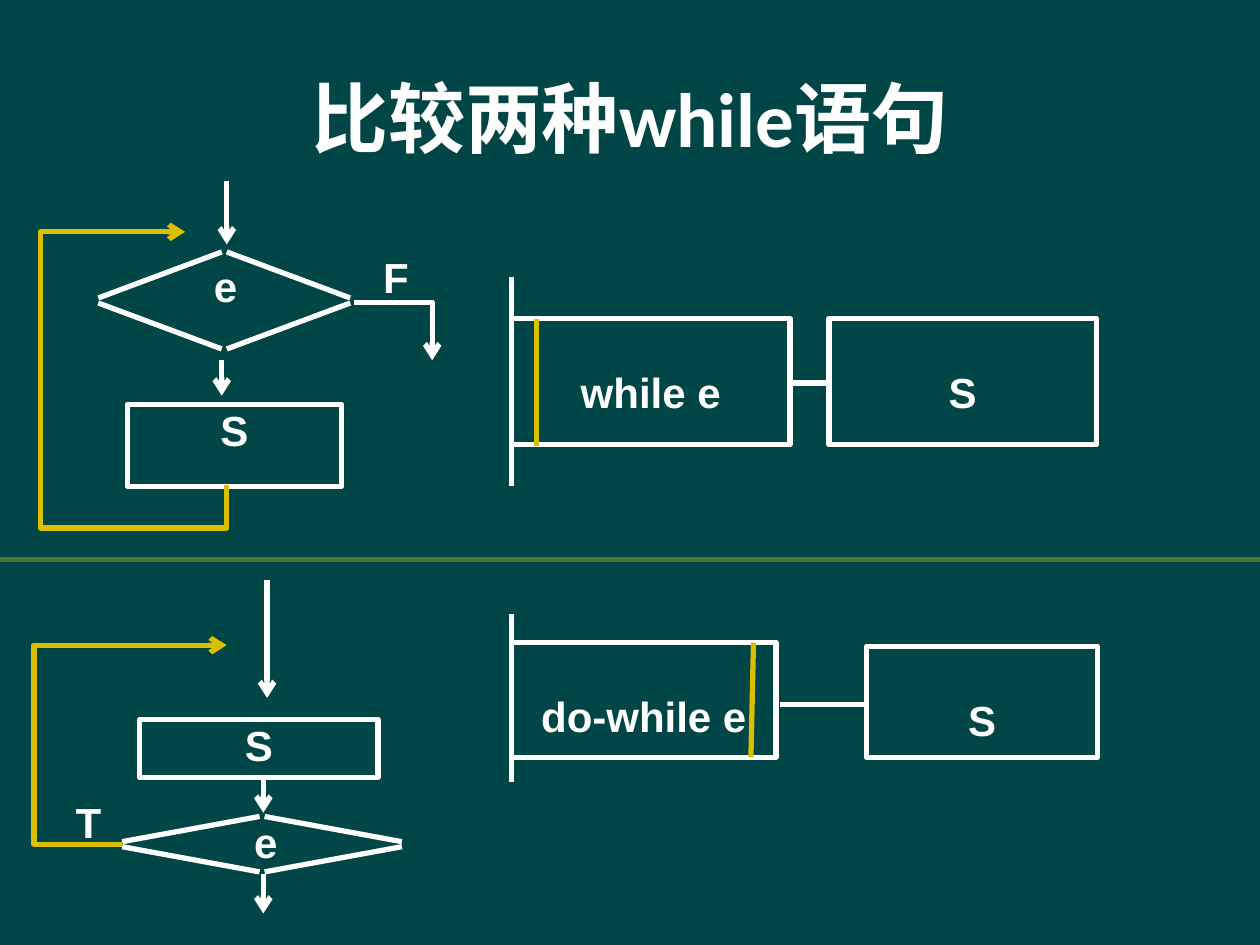
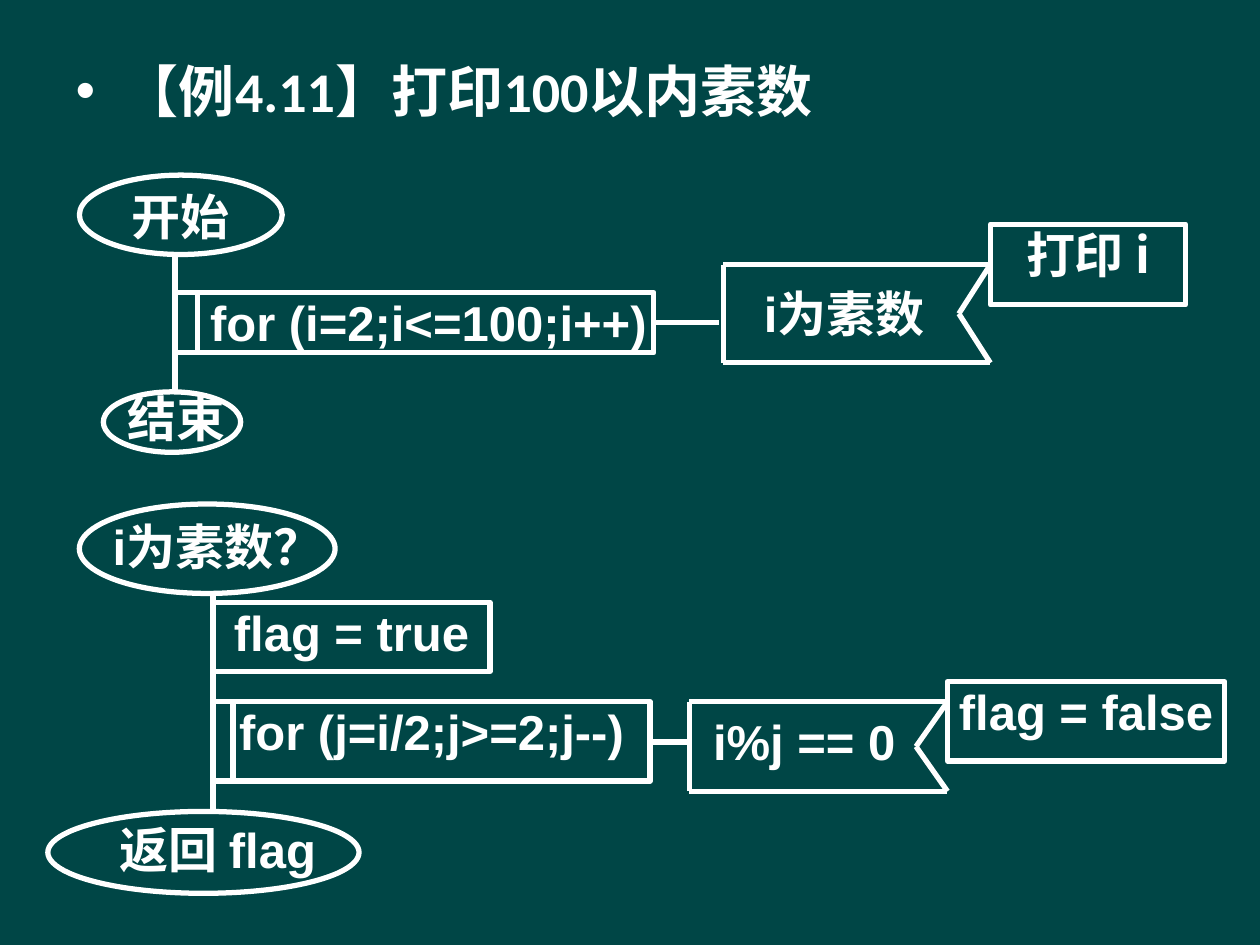
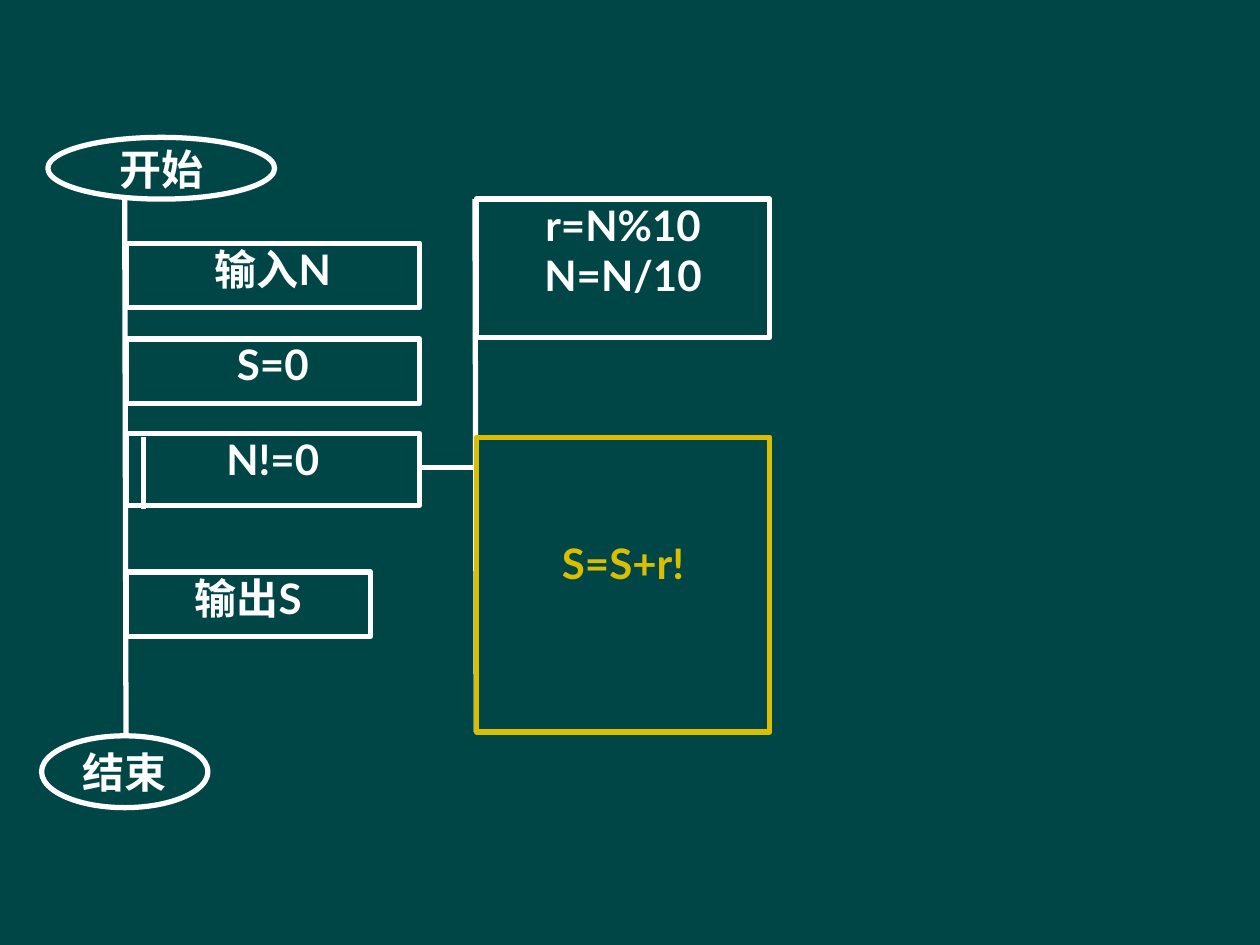
import dataclasses
import itertools

import lxml.etree
import pptx
import pptx.dml.color
import pptx.enum.shapes
import pptx.enum.text
import pptx.oxml.ns
import pptx.util

Inches = pptx.util.Inches
KIND = pptx.enum.shapes.MSO_SHAPE
ALIGN = pptx.enum.text.PP_ALIGN
ANCHOR = pptx.enum.text.MSO_ANCHOR


@dataclasses.dataclass(frozen=True)
class Theme:
    back: str = "004646"
    ink: str = "FFFFFF"
    gold: str = "D9BE02"
    rule: str = "50742F"
    head: str = "Calibri"
    sans: str = "Arial"
    flow: str = "Lato"
    asian: str = "Noto Sans CJK SC"
    title: int = 44
    item: int = 32
    large: int = 28
    small: int = 24
    stroke: int = 3


T = Theme()


def paint(code):
    return pptx.dml.color.RGBColor.from_string(code)


def add(parent, tag, **attrs):
    return lxml.etree.SubElement(parent, pptx.oxml.ns.qn(tag), **attrs)


def write(frame, text, size=T.small, font=T.sans, color=T.ink,
          align=None, pad=None, anchor=None, wrap=True):
    frame.word_wrap = wrap
    if anchor is not None:
        frame.vertical_anchor = anchor
    if pad is not None:
        (frame.margin_left, frame.margin_top,
         frame.margin_right, frame.margin_bottom) = map(Inches, pad)
    for num, words in enumerate(text.split("\n")):
        para = frame.add_paragraph() if num else frame.paragraphs[0]
        para.alignment = align
        para.space_before = pptx.util.Pt(0)
        run = para.add_run()
        run.text = words
        run.font.size = pptx.util.Pt(size)
        run.font.bold = True
        run.font.color.rgb = paint(color)
        run.font.name = font
        add(run._r.get_or_add_rPr(), "a:ea", typeface=T.asian)


def stroke(shape, color, arrow=False):
    shape.line.color.rgb = paint(color)
    shape.line.width = pptx.util.Pt(T.stroke)
    if arrow:
        edge = shape.element.spPr.find(pptx.oxml.ns.qn("a:ln"))
        add(edge, "a:tailEnd", type="arrow")


def line(slide, *ends, color=T.ink, arrow=False):
    kind = pptx.enum.shapes.MSO_CONNECTOR.STRAIGHT
    link = slide.shapes.add_connector(kind, *map(Inches, ends))
    stroke(link, color, arrow)
    add(link.element.spPr, "a:effectLst")


def route(slide, points, color=T.ink):
    spots = [tuple(map(Inches, point)) for point in points]
    pen = slide.shapes.build_freeform(*spots[0], scale=1.0)
    pen.add_line_segments(spots[1:], close=False)
    shape = pen.convert_to_shape()
    shape.shadow.inherit = False
    shape.fill.background()
    stroke(shape, color, arrow=True)


def box(slide, area, text="", kind=KIND.RECTANGLE, edge=T.ink,
        pad=(0, 0, 0, 0), anchor=ANCHOR.TOP, **style):
    shape = slide.shapes.add_shape(kind, *map(Inches, area))
    shape.shadow.inherit = False
    shape.fill.background()
    stroke(shape, edge)
    if text:
        write(shape.text_frame, text, align=ALIGN.CENTER, pad=pad,
              anchor=anchor, **style)


def label(slide, area, text, align=ALIGN.CENTER, pad=(0, 0, 0, 0), **style):
    shape = slide.shapes.add_textbox(*map(Inches, area))
    write(shape.text_frame, text, align=align, pad=pad,
          anchor=ANCHOR.TOP, **style)


def oval(slide, area, text="", **style):
    box(slide, area, text, kind=KIND.OVAL, pad=(0.1, 0.05, 0.1, 0.05),
        anchor=ANCHOR.MIDDLE, wrap=False, **style)


def test(slide, x, y, wide, high):
    gap = 0.02
    for side, way in itertools.product((-1, 1), repeat=2):
        line(slide, x + side * gap, y + way * high,
             x + side * wide, y + way * gap)


def flag(slide, left, top, right, low):
    mid = (top + low) / 2
    points = [(right, top), (left, top), (left, low), (right, low),
              (right - 0.25, mid), (right, top)]
    for start, end in itertools.pairwise(points):
        line(slide, *start, *end)


def compare(deck):
    slide = deck.slides.add_slide(deck.slide_layouts[5])
    write(slide.shapes.title.text_frame, "比较两种while语句",
          size=T.title, font=T.head, align=ALIGN.CENTER)

    test(slide, 1.78, 2.385, 1, 0.385)
    box(slide, (1.01, 3.21, 1.7, 0.65), "S")
    line(slide, 1.8, 1.44, 1.8, 1.94, arrow=True)
    line(slide, 1.76, 2.86, 1.76, 3.14, arrow=True)
    route(slide, [(1.8, 3.85), (1.8, 4.19), (0.32, 4.19),
                  (0.32, 1.84), (1.47, 1.84)], T.gold)
    route(slide, [(2.81, 2.4), (3.43, 2.4), (3.43, 2.86)])
    label(slide, (1.53, 2.07, 0.52, 0.45), "e")
    label(slide, (3.04, 2, 0.43, 0.43), "F", align=ALIGN.LEFT)

    test(slide, 2.08, 6.7, 1.11, 0.22)
    box(slide, (1.11, 5.71, 1.89, 0.46), "S")
    line(slide, 2.12, 4.6, 2.12, 5.54, arrow=True)
    line(slide, 2.09, 6.17, 2.09, 6.45, arrow=True)
    line(slide, 2.09, 6.94, 2.09, 7.25, arrow=True)
    label(slide, (1.8, 6.48, 0.62, 0.5), "e")
    label(slide, (0.6, 6.32, 0.47, 0.43), "T", align=ALIGN.JUSTIFY)
    route(slide, [(0.97, 6.7), (0.27, 6.7), (0.27, 5.12), (1.8, 5.12)],
          T.gold)

    drop = (0, 0.38, 0, 0)
    line(slide, 4.06, 2.2, 4.06, 3.86)
    box(slide, (4.06, 2.53, 2.21, 1), "while e", pad=drop)
    line(slide, 4.26, 2.53, 4.26, 3.54, color=T.gold)
    line(slide, 6.26, 3.04, 6.6, 3.04)
    box(slide, (6.58, 2.53, 2.12, 1), "S", pad=drop)

    line(slide, 4.06, 4.87, 4.06, 6.21)
    box(slide, (4.06, 5.1, 2.1, 0.91), "do-while e", pad=drop)
    line(slide, 5.98, 5.1, 5.96, 6.01, color=T.gold)
    line(slide, 6.19, 5.59, 6.88, 5.59)
    box(slide, (6.88, 5.13, 1.83, 0.88), "S", pad=drop)
    line(slide, 0, 4.44, 10, 4.44, color=T.rule)


def primes(deck):
    slide = deck.slides.add_slide(deck.slide_layouts[1])
    title = slide.shapes.title.element
    title.getparent().remove(title)
    body = slide.placeholders[1]
    body.left, body.top, body.width, body.height = map(
        Inches, (0.5, 0.4, 9, 6.3))
    write(body.text_frame, "【例4.11】打印100以内素数",
          size=T.item, font=T.head)

    big = {"size": T.large}
    line(slide, 1.39, 2.01, 1.39, 3.11)
    box(slide, (1.39, 2.32, 3.8, 0.48), "for (i=2;i<=100;i++)",
        pad=(0.22, 0, 0, 0), **big)
    label(slide, (0.72, 1.48, 1.42, 0.43), "开始", **big)
    oval(slide, (0.63, 1.39, 1.61, 0.63))
    label(slide, (0.43, 3.08, 1.94, 0.47), "结束", **big)
    oval(slide, (0.82, 3.11, 1.09, 0.48))
    line(slide, 1.57, 2.33, 1.57, 2.78)
    line(slide, 5.19, 2.56, 5.71, 2.56)
    box(slide, (7.86, 1.78, 1.55, 0.64), "打印 i", font=T.asian, **big)
    label(slide, (5.82, 2.25, 1.76, 0.45), "i为素数", **big)
    flag(slide, 5.74, 2.1, 7.86, 2.88)

    line(slide, 1.69, 4.71, 1.69, 6.44)
    label(slide, (0.35, 4.1, 2.75, 0.5), "i为素数？", **big)
    oval(slide, (0.63, 4, 2.03, 0.71))
    label(slide, (0.35, 6.5, 2.76, 0.51), "返回 flag", **big)
    oval(slide, (0.38, 6.44, 2.47, 0.65))
    box(slide, (7.52, 5.41, 2.2, 0.63), "flag = false", **big)
    box(slide, (1.69, 5.57, 3.47, 0.63), "for (j=i/2;j>=2;j--)", **big)
    line(slide, 1.85, 5.57, 1.85, 6.2)
    line(slide, 5.16, 5.89, 5.45, 5.89)
    box(slide, (1.69, 4.78, 2.2, 0.55), "flag = true", **big)
    label(slide, (5.55, 5.65, 1.7, 0.45), "i%j == 0",
          align=ALIGN.JUSTIFY, pad=(0.11, 0, 0, 0), **big)
    flag(slide, 5.47, 5.57, 7.52, 6.28)


def digits(deck):
    slide = deck.slides.add_slide(deck.slide_layouts[6])
    lato = {"font": T.flow}
    line(slide, 0.99, 1.58, 1, 5.84)
    oval(slide, (0.38, 1.09, 1.8, 0.49), "开始", **lato)
    oval(slide, (0.33, 5.84, 1.32, 0.57), "结束", **lato)
    steps = [(1.93, 2.33, 0.51, "输入N"), (2.69, 2.33, 0.51, "S=0"),
             (3.44, 2.33, 0.57, "N!=0"), (4.54, 1.94, 0.51, "输出S")]
    for top, wide, high, text in steps:
        box(slide, (1, top, wide, high), text, **lato)
    line(slide, 1.14, 3.47, 1.14, 4.04)
    box(slide, (3.78, 1.58, 2.33, 1.1), "r=N%10\nN=N/10", **lato)
    line(slide, 3.77, 1.58, 3.78, 5.81)
    line(slide, 3.33, 3.71, 3.77, 3.71)
    box(slide, (3.78, 3.47, 2.33, 2.34), "S=S+r!", edge=T.gold,
        color=T.gold, pad=(0, 0.8, 0, 0), **lato)


def main():
    deck = pptx.Presentation()
    deck.slide_width, deck.slide_height = Inches(10), Inches(7.5)
    fill = deck.slide_master.background.fill
    fill.solid()
    fill.fore_color.rgb = paint(T.back)
    compare(deck)
    primes(deck)
    digits(deck)
    deck.save("out.pptx")


if __name__ == "__main__":
    main()
